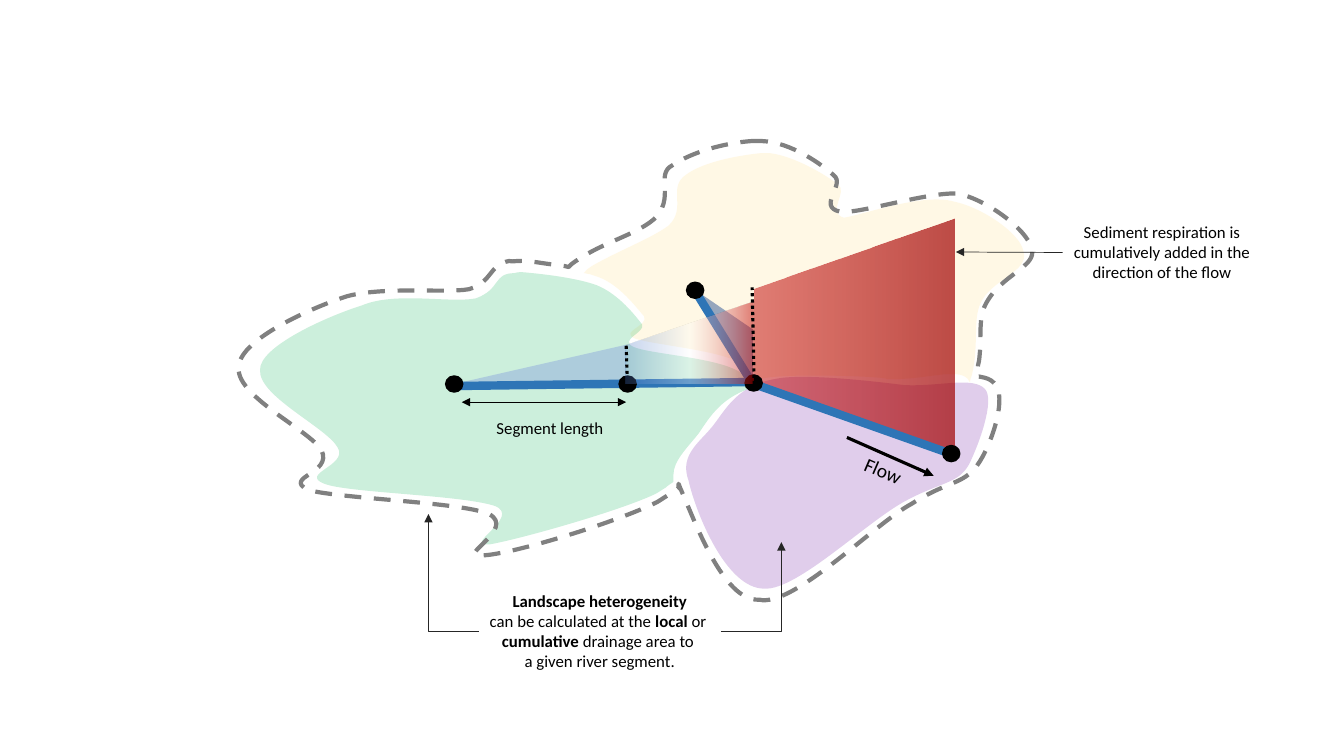
from dataclasses import dataclass

from lxml import etree
from pptx import Presentation
from pptx.dml.color import RGBColor
from pptx.enum.dml import MSO_LINE
from pptx.enum.shapes import MSO_CONNECTOR, MSO_SHAPE
from pptx.enum.text import MSO_AUTO_SIZE, PP_ALIGN
from pptx.oxml.ns import qn
from pptx.util import Inches, Pt

STRAIGHT, ELBOW = MSO_CONNECTOR.STRAIGHT, MSO_CONNECTOR.ELBOW
DASH, DOTS = MSO_LINE.DASH, MSO_LINE.ROUND_DOT
ELLIPSE, TRIANGLE, TRAPEZOID = MSO_SHAPE.OVAL, MSO_SHAPE.ISOSCELES_TRIANGLE, MSO_SHAPE.TRAPEZOID
LEFT_SIDE, RIGHT_SIDE = 1, 3


@dataclass(frozen=True)
class Theme:
    font: str = "Calibri"
    label_size: float = 12
    flow_size: float = 14
    black: str = "000000"
    pointer: str = "262626"
    boundary: str = "808080"
    river: str = "2E75B6"
    yellow_area: str = "FFF2CC"
    green_area: str = "00B050"
    violet_area: str = "64089C"
    headwater: str = "8FAADC"
    tributary: str = "2F5597"
    mixing: tuple = ((0, "4472C4", 30), (50, "FFFFFF", 30), (100, "C00000", 50))
    respiration: tuple = ((0, "A20000", 70), (100, "C00000", 50))


THEME = Theme()

# Each outline is a start point, then two control points and an end point per curve.
YELLOW_OUTLINE = [
    (7.54, 1.52), (7.58, 1.52), (7.61, 1.52), (7.64, 1.52), (7.88, 1.55), (8.2, 1.74), (8.31, 1.83),
    (8.42, 1.9), (8.19, 2.11), (8.37, 2.16), (8.53, 2.14), (9.16, 1.91), (9.46, 2),
    (9.75, 2.06), (10.12, 2.32), (10.15, 2.49), (10.22, 2.7), (9.82, 2.77), (9.72, 3.02),
    (9.65, 3.19), (9.71, 3.42), (9.64, 3.72), (9.63, 3.75), (9.62, 3.77), (9.62, 3.79),
    (9.61, 3.79), (9.61, 3.77), (9.6, 3.76), (9.49, 3.64), (9.15, 3.78), (8.79, 3.76),
    (8.84, 3.74), (7.88, 3.7), (7.59, 3.75), (7.58, 3.75), (7.56, 3.75), (7.54, 3.76),
    (7.52, 3.74), (7.5, 3.72), (7.49, 3.71), (7.44, 3.65), (7.37, 3.62), (7.32, 3.59),
    (7.09, 3.47), (6.48, 3.42), (6.3, 3.36), (6.14, 3.29), (6.43, 3.24), (6.39, 3.14),
    (6.31, 3.05), (6.15, 2.83), (5.94, 2.75), (5.91, 2.74), (5.88, 2.73), (5.85, 2.72),
    (5.84, 2.72), (5.8, 2.71), (5.79, 2.71), (5.81, 2.68), (5.84, 2.66), (5.87, 2.64),
    (6.15, 2.48), (6.45, 2.37), (6.63, 2.24), (6.82, 2.06), (6.61, 1.86), (6.81, 1.73),
    (6.96, 1.62), (7.26, 1.55), (7.54, 1.52)]
GREEN_OUTLINE = [
    (5.18, 2.7), (5.41, 2.72), (5.73, 2.76), (5.92, 2.83), (6.14, 2.92), (6.3, 3.13), (6.37, 3.22),
    (6.4, 3.3), (6.14, 3.37), (6.28, 3.44), (6.43, 3.51), (7.04, 3.54), (7.3, 3.67),
    (7.35, 3.69), (7.4, 3.74), (7.46, 3.78), (7.48, 3.8), (7.49, 3.81), (7.52, 3.83),
    (7.16, 3.92), (7.04, 4.14), (6.93, 4.3), (6.82, 4.44), (6.68, 4.57), (6.68, 4.71),
    (6.68, 4.74), (6.68, 4.76), (6.68, 4.78), (6.67, 4.79), (6.63, 4.81), (6.6, 4.84),
    (6.56, 4.86), (6.53, 4.89), (6.48, 4.91), (6.11, 5.08), (5.15, 5.35), (4.86, 5.4),
    (4.57, 5.42), (5.18, 5.13), (4.91, 5.02), (4.58, 4.91), (3.45, 4.89), (3.22, 4.8),
    (2.96, 4.7), (3.46, 4.62), (3.35, 4.44), (3.24, 4.24), (2.56, 3.93), (2.58, 3.67),
    (2.57, 3.44), (3.24, 3.14), (3.59, 3.03), (3.92, 2.89), (4.46, 3.01), (4.72, 2.96),
    (4.97, 2.87), (4.89, 2.71), (5.1, 2.71), (5.12, 2.7), (5.15, 2.7), (5.18, 2.7)]
VIOLET_OUTLINE = [
    (6.83, 4.77), (6.73, 4.5), (6.96, 4.38), (7.09, 4.2), (7.21, 4.04), (7.33, 3.82), (7.69, 3.76),
    (8, 3.69), (8.96, 3.82), (8.96, 3.82), (9.31, 3.84), (9.65, 3.73), (9.77, 3.86),
    (9.87, 3.97), (9.71, 4.41), (9.61, 4.61), (9.5, 4.8), (9.34, 4.78), (9, 4.96),
    (8.61, 5.16), (7.91, 5.86), (7.58, 5.84), (7.2, 5.84), (6.9, 5.08), (6.83, 4.77)]
BOUNDARY_OUTLINE = [
    (7.45, 1.4), (7.49, 1.4), (7.52, 1.4), (7.56, 1.4), (7.84, 1.41), (8.15, 1.63), (8.27, 1.74),
    (8.39, 1.83), (8.1, 2.05), (8.33, 2.1), (8.5, 2.13), (9.17, 1.91), (9.49, 1.92),
    (9.77, 1.97), (10.18, 2.27), (10.23, 2.46), (10.3, 2.65), (9.92, 2.72), (9.77, 3.03),
    (9.7, 3.17), (9.74, 3.37), (9.71, 3.58), (9.69, 3.65), (9.7, 3.68), (9.69, 3.74),
    (9.7, 3.73), (9.72, 3.74), (9.73, 3.74), (9.78, 3.75), (9.82, 3.76), (9.86, 3.8),
    (10, 3.93), (9.83, 4.43), (9.69, 4.62), (9.55, 4.81), (9.4, 4.77), (9.04, 5),
    (8.68, 5.19), (7.87, 6.03), (7.53, 5.95), (7.17, 5.97), (6.89, 5.16), (6.75, 4.85),
    (6.74, 4.83), (6.74, 4.82), (6.73, 4.8), (6.73, 4.82), (6.73, 4.83), (6.73, 4.84),
    (6.72, 4.85), (6.69, 4.88), (6.65, 4.9), (6.61, 4.92), (6.57, 4.95), (6.52, 4.98),
    (6.12, 5.18), (5.08, 5.5), (4.79, 5.51), (4.49, 5.54), (5.13, 5.25), (4.85, 5.1),
    (4.57, 4.98), (3.38, 4.95), (3.05, 4.86), (2.81, 4.73), (3.3, 4.7), (3.19, 4.47),
    (3.08, 4.27), (2.31, 3.92), (2.37, 3.63), (2.39, 3.36), (3.1, 3.05), (3.44, 2.94),
    (3.81, 2.84), (4.41, 2.91), (4.65, 2.87), (4.89, 2.8), (4.85, 2.62), (5.05, 2.59),
    (5.07, 2.6), (5.1, 2.59), (5.14, 2.59), (5.24, 2.58), (5.4, 2.62), (5.54, 2.63),
    (5.59, 2.64), (5.62, 2.64), (5.64, 2.65), (5.65, 2.64), (5.66, 2.63), (5.67, 2.62),
    (5.95, 2.41), (6.29, 2.34), (6.48, 2.18), (6.71, 1.97), (6.49, 1.73), (6.67, 1.64),
    (6.86, 1.51), (7.18, 1.42), (7.45, 1.4)]


def set_fill(shape, color, opacity=100):
    shape.fill.solid()
    shape.fill.fore_color.rgb = RGBColor.from_string(color)
    if opacity < 100:
        rgb = shape.element.spPr.find(".//" + qn("a:srgbClr"))
        etree.SubElement(rgb, qn("a:alpha"), val=str(opacity * 1000))


def set_gradient(shape, stops, angle):
    shape.fill.gradient()
    gradient = shape.element.spPr.find(qn("a:gradFill"))
    for child in list(gradient):
        gradient.remove(child)
    stop_list = etree.SubElement(gradient, qn("a:gsLst"))
    for position, color, opacity in stops:
        stop = etree.SubElement(stop_list, qn("a:gs"), pos=str(position * 1000))
        rgb = etree.SubElement(stop, qn("a:srgbClr"), val=color)
        etree.SubElement(rgb, qn("a:alpha"), val=str(opacity * 1000))
    etree.SubElement(gradient, qn("a:lin"), ang=str(angle * 60000), scaled="0")


def set_line(line, color, width, dash=None):
    line.color.rgb = RGBColor.from_string(color)
    line.width = Pt(width)
    if dash:
        line.dash_style = dash


def add_outline(slide, points, curved=False):
    """Draw a closed outline; when curved, every three points make one Bezier curve."""
    corners = [(Inches(x), Inches(y)) for x, y in points]
    builder = slide.shapes.build_freeform(*corners[0], scale=1.0)
    builder.add_line_segments(corners[1:], close=True)
    shape = builder.convert_to_shape()
    shape.shadow.inherit = False
    shape.line.fill.background()
    if curved:
        segments = list(shape.element.iter(qn("a:lnTo")))
        for first, second, third in zip(*[iter(segments)] * 3):
            first.tag = qn("a:cubicBezTo")
            for segment in (second, third):
                first.append(segment[0])
                segment.getparent().remove(segment)
    return shape


def add_preset(slide, kind, left, top, width, height, adjustment=None):
    shape = slide.shapes.add_shape(kind, Inches(left), Inches(top), Inches(width), Inches(height))
    shape.shadow.inherit = False
    shape.line.fill.background()
    if adjustment is not None:
        shape.adjustments[0] = adjustment
    return shape


def add_node(slide, left, top):
    node = add_preset(slide, ELLIPSE, left, top, 0.17, 0.16)
    set_fill(node, THEME.black)
    set_line(node.line, THEME.black, 1)


def add_line(slide, start, end, color, width, dash=None, arrows=(), kind=STRAIGHT):
    connector = slide.shapes.add_connector(kind, *map(Inches, start + end))
    set_line(connector.line, color, width, dash)
    properties = connector.element.spPr
    if kind == ELBOW:
        properties.find(qn("a:prstGeom")).set("prst", "bentConnector2")
    for arrow in arrows:
        etree.SubElement(properties.find(qn("a:ln")), qn("a:" + arrow), type="triangle")
    etree.SubElement(properties, qn("a:effectLst"))
    return connector


def add_label(slide, left, top, width, height, lines, size=THEME.label_size):
    """Add centred text; each line is a list of (text, bold) runs."""
    label = slide.shapes.add_textbox(Inches(left), Inches(top), Inches(width), Inches(height))
    frame = label.text_frame
    frame.word_wrap = False
    frame.auto_size = MSO_AUTO_SIZE.SHAPE_TO_FIT_TEXT
    for index, line in enumerate(lines):
        paragraph = frame.add_paragraph() if index else frame.paragraphs[0]
        paragraph.alignment = PP_ALIGN.CENTER
        for text, bold in line:
            run = paragraph.add_run()
            run.text = text
            run.font.name, run.font.size, run.font.bold = THEME.font, Pt(size), bold
            run.font.color.rgb = RGBColor.from_string(THEME.black)
    return label


def main():
    presentation = Presentation()
    presentation.slide_width, presentation.slide_height = Inches(13.33), Inches(7.5)
    slide = presentation.slides.add_slide(presentation.slide_layouts[6])

    for outline, color, opacity in ((YELLOW_OUTLINE, THEME.yellow_area, 50),
                                    (GREEN_OUTLINE, THEME.green_area, 20),
                                    (VIOLET_OUTLINE, THEME.violet_area, 20)):
        set_fill(add_outline(slide, outline, curved=True), color, opacity)

    set_fill(add_outline(slide, [(6.9, 2.88), (7.47, 3.27), (7.47, 3.8)]), THEME.tributary, 50)
    respiration = add_preset(slide, TRAPEZOID, 7.3, 2.35, 2.35, 1.99, 0.349)
    respiration.rotation = 270
    set_gradient(respiration, THEME.respiration, 270)
    set_fill(add_preset(slide, TRIANGLE, 4.5, 3.42, 1.71, 0.39, 1), THEME.headwater, 50)

    for start, end in (((7.45, 3.8), (9.48, 4.52)), ((6.86, 2.83), (7.46, 3.8)),
                       ((4.49, 3.83), (7.47, 3.79))):
        add_line(slide, start, end, THEME.river, 6)
    for left, top in ((6.81, 2.8), (9.35, 4.42), (6.14, 3.73), (7.39, 3.72), (4.42, 3.73)):
        add_node(slide, left, top)
    mixing = add_outline(slide, [(7.47, 2.99), (7.47, 3.8), (6.21, 3.8), (6.21, 3.42)])
    set_gradient(mixing, THEME.mixing, 0)
    for start, end in (((7.48, 3.81), (7.46, 2.85)), ((6.22, 3.71), (6.21, 3.42))):
        add_line(slide, start, end, THEME.black, 2.25, DOTS)
    set_line_target = add_outline(slide, BOUNDARY_OUTLINE, curved=True)
    set_line_target.fill.background()
    set_line(set_line_target.line, THEME.boundary, 3, DASH)

    sediment = add_label(slide, 10.54, 2.15, 1.97, 0.71, [
        [("Sediment respiration is", False)], [("cumulatively added in the", False)],
        [("direction of the flow", False)]])
    landscape = add_label(slide, 4.75, 5.81, 2.4, 0.91, [
        [("Landscape heterogeneity", True)],
        [("can be calculated at the ", False), ("local", True), (" or ", False)],
        [("cumulative", True), (" drainage area to ", False)],
        [("a given river segment.", False)]])
    add_label(slide, 4.82, 4.1, 1.27, 0.3, [[("Segment length", False)]])
    flow = add_label(slide, 8.47, 4.5, 0.58, 0.34, [[("Flow", False)]], THEME.flow_size)
    flow.rotation = 23.3

    add_line(slide, (8.4, 4.34), (9.26, 4.72), THEME.black, 2.25, arrows=["tailEnd"])
    add_line(slide, (4.58, 3.99), (6.21, 3.99), THEME.black, 0.5, arrows=["headEnd", "tailEnd"])
    for label, side, start, end, kind in (
            (sediment, LEFT_SIDE, (10.54, 2.5), (9.48, 2.5), STRAIGHT),
            (landscape, RIGHT_SIDE, (7.15, 6.26), (7.75, 5.38), ELBOW),
            (landscape, LEFT_SIDE, (4.75, 6.26), (4.25, 5.1), ELBOW)):
        pointer = add_line(slide, start, end, THEME.pointer, 0.5, arrows=["tailEnd"], kind=kind)
        pointer.begin_connect(label, side)

    presentation.save("out.pptx")


if __name__ == "__main__":
    main()
